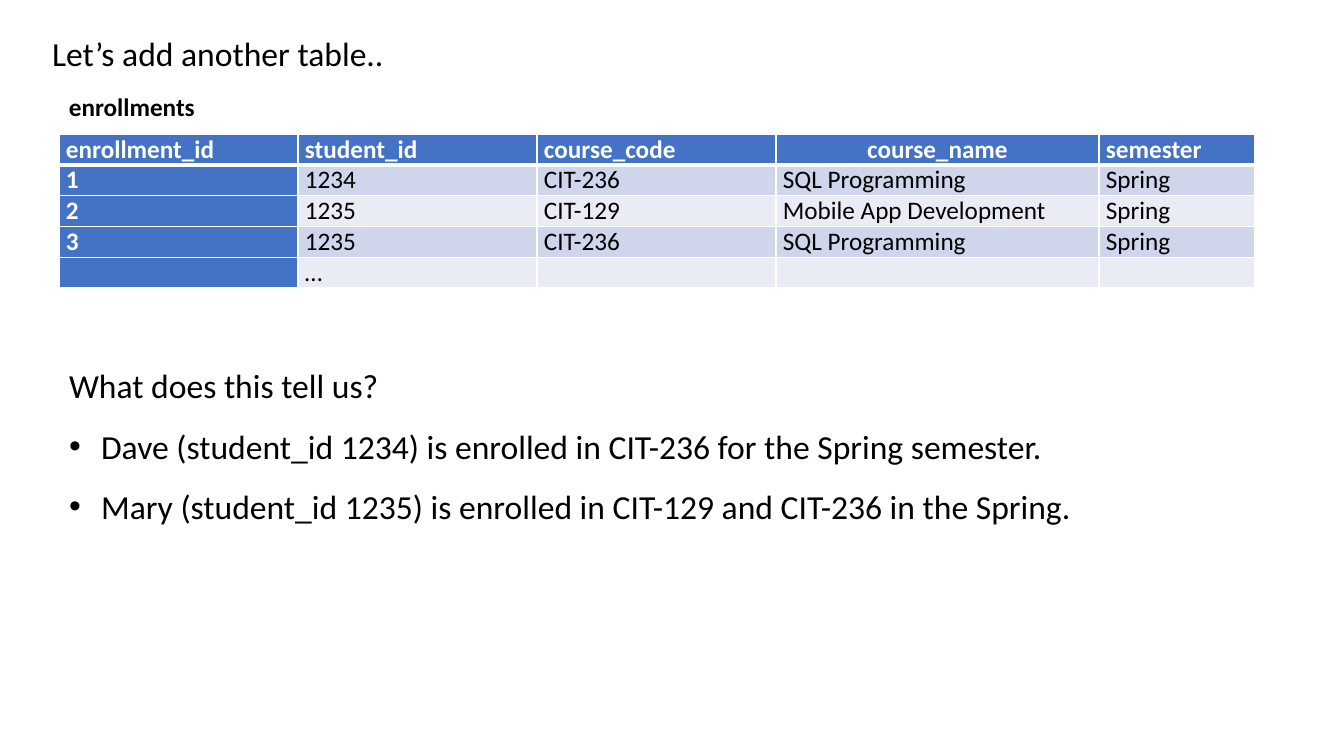
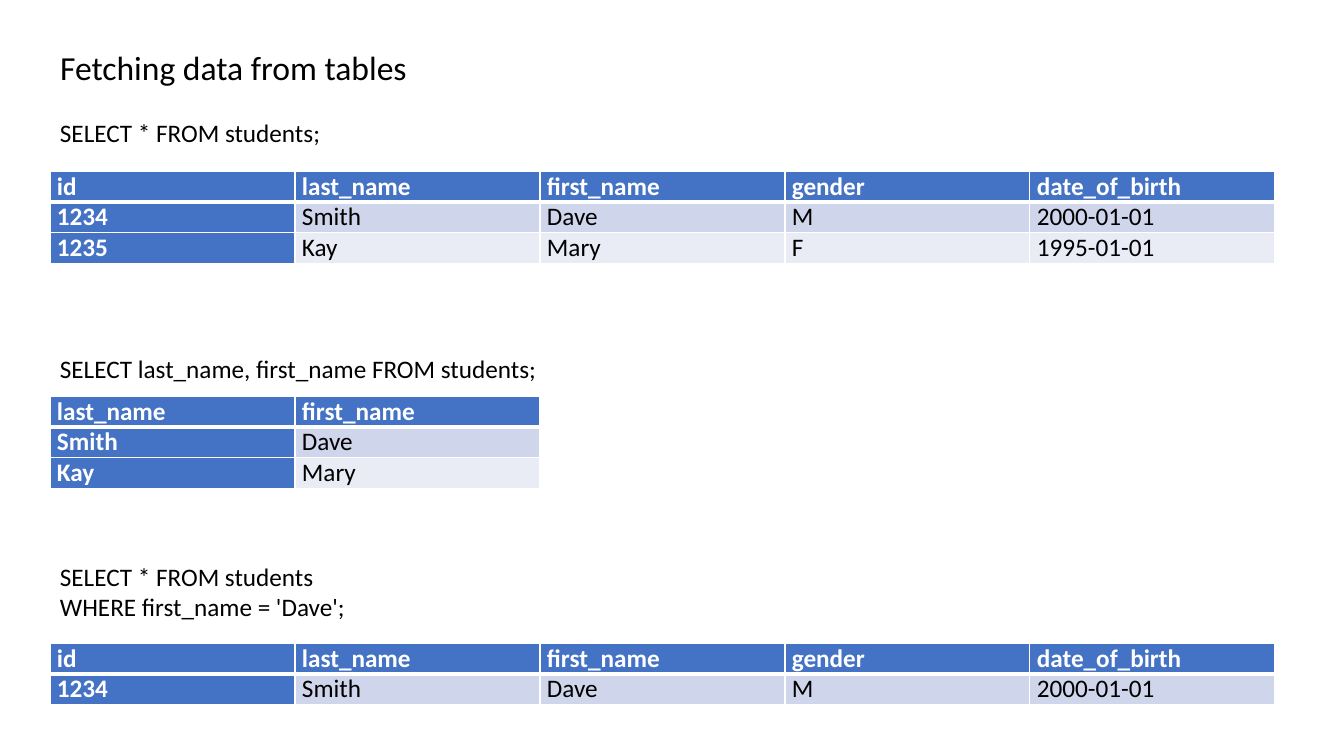
from pptx import Presentation
from pptx.dml.color import RGBColor
from pptx.enum.text import MSO_ANCHOR as Anchor, MSO_AUTO_SIZE as AutoSize, PP_ALIGN as Align
from pptx.oxml.xmlchemy import OxmlElement as element
from pptx.util import Pt

SCALE = 12192000 / 1344
FONT = "Calibri"
BLACK, WHITE, BLUE = "000000", "FFFFFF", "4472C4"
BANDS = ("CFD5EA", "E9EBF5")
TITLE_SIZE, TEXT_SIZE = 24, 18
ROW_HEIGHT, CELL_INSET, BULLET_INDENT = 30, 7, 32


def px(length):
    return round(length * SCALE)


def color(value):
    return RGBColor.from_string(value)


def write(para, text, size=TEXT_SIZE, ink=BLACK, bold=False, align=Align.LEFT, spacing=1.0):
    para.alignment = align
    para.line_spacing = spacing
    para.space_before = para.space_after = Pt(0)
    if text:
        span = para.add_run()
        span.text = text
        span.font.name = FONT
        span.font.size = Pt(size)
        span.font.bold = bold
        span.font.color.rgb = color(ink)


def set_bullet(para, shown):
    properties = para._p.get_or_add_pPr()
    indent = px(BULLET_INDENT) if shown else 0
    properties.set("marL", str(indent))
    properties.set("indent", str(-indent))
    if shown:
        font = element("a:buFont")
        font.set("typeface", "Arial")
        mark = element("a:buChar")
        mark.set("char", "•")
        properties.extend((font, mark))
    else:
        properties.append(element("a:buNone"))


def set_borders(cell, **widths):
    properties = cell._tc.get_or_add_tcPr()
    for side in "LRTB":
        line = element(f"a:ln{side}")
        line.set("w", str(Pt(widths.get(side, 1))))
        fill = element("a:solidFill")
        ink = element("a:srgbClr")
        ink.set("val", WHITE)
        fill.append(ink)
        line.append(fill)
        properties.append(line)


class Slides:
    def __init__(self):
        self.deck = Presentation()
        self.deck.slide_width, self.deck.slide_height = px(1344), px(756)
        self.page = None

    def add_page(self, layout):
        self.page = self.deck.slides.add_slide(self.deck.slide_layouts.get_by_name(layout))

    def frame(self, box, left, top, width, height, wrap):
        box.left, box.top, box.width, box.height = map(px, (left, top, width, height))
        frame = box.text_frame
        frame.auto_size = AutoSize.NONE
        frame.word_wrap = wrap
        frame.vertical_anchor = Anchor.TOP
        return frame

    def title(self, text, *place):
        frame = self.frame(self.page.shapes.title, *place, wrap=False)
        write(frame.paragraphs[0], text, size=TITLE_SIZE)

    def body(self, heading, points, *place):
        frame = self.frame(self.page.placeholders[1], *place, wrap=True)
        for index, text in enumerate((heading, *points)):
            para = frame.add_paragraph() if index else frame.paragraphs[0]
            write(para, text, size=TITLE_SIZE, spacing=1.5)
            set_bullet(para, shown=index > 0)

    def text(self, lines, *place, wrap=False, bold=False):
        box = self.page.shapes.add_textbox(0, 0, 0, 0)
        frame = self.frame(box, *place, wrap=wrap)
        for index, line in enumerate(lines):
            para = frame.add_paragraph() if index else frame.paragraphs[0]
            write(para, line, bold=bold)

    def table(self, rows, left, top, widths, centered=()):
        table = self.page.shapes.add_table(
            len(rows), len(widths), px(left), px(top),
            px(sum(widths)), px(ROW_HEIGHT * len(rows))).table
        table.first_col = True
        for column, width in zip(table.columns, widths):
            column.width = px(width)
        for row, values in enumerate(rows):
            table.rows[row].height = px(ROW_HEIGHT)
            for column, value in enumerate(values):
                cell = table.cell(row, column)
                header = row == 0 or column == 0
                cell.margin_left = cell.margin_right = px(CELL_INSET)
                cell.margin_top = cell.margin_bottom = 0
                set_borders(cell, B=3 if row == 0 else 1, T=3 if row == 1 else 1)
                cell.fill.solid()
                cell.fill.fore_color.rgb = color(BLUE if header else BANDS[(row - 1) % 2])
                write(cell.text_frame.paragraphs[0], value,
                      ink=WHITE if header else BLACK, bold=header,
                      align=Align.CENTER if row == 0 and value in centered else Align.LEFT)


ENROLLMENTS = [
    ("enrollment_id", "student_id", "course_code", "course_name", "semester"),
    ("1", "1234", "CIT-236", "SQL Programming", "Spring"),
    ("2", "1235", "CIT-129", "Mobile App Development", "Spring"),
    ("3", "1235", "CIT-236", "SQL Programming", "Spring"),
    ("", "…", "", "", ""),
]
STUDENTS = [
    ("id", "last_name", "first_name", "gender", "date_of_birth"),
    ("1234", "Smith", "Dave", "M", "2000-01-01"),
    ("1235", "Kay", "Mary", "F", "1995-01-01"),
]

slides = Slides()

slides.add_page("Title and Content")
slides.title("Let’s add another table..", 42, 28, 355, 50)
slides.text(["enrollments"], 59, 86, 147, 40, bold=True)
slides.table(ENROLLMENTS, 59, 134, [239, 239, 239, 323, 156], centered=["course_name"])
slides.body("What does this tell us?", [
    "Dave (student_id 1234) is enrolled in CIT-236 for the Spring semester.",
    "Mary (student_id 1235) is enrolled in CIT-129 and CIT-236 in the Spring.",
], 59, 340, 1197, 248)

slides.add_page("Title Only")
slides.title("Fetching data from tables", 50, 42, 370, 50)
queries = [
    (["SELECT * FROM students;"], (50, 112, 283, 40), STUDENTS, 171),
    (["SELECT last_name, first_name FROM students;"], (50, 348, 504, 40),
     [row[1:3] for row in STUDENTS], 396),
    (["SELECT * FROM students", "WHERE first_name = 'Dave';"], (50, 556, 594, 102),
     STUDENTS[:2], 643),
]
for lines, place, rows, top in queries:
    slides.text(lines, *place, wrap=len(lines) > 1)
    slides.table(rows, 50, top, [245] * len(rows[0]))

slides.deck.save("out.pptx")
